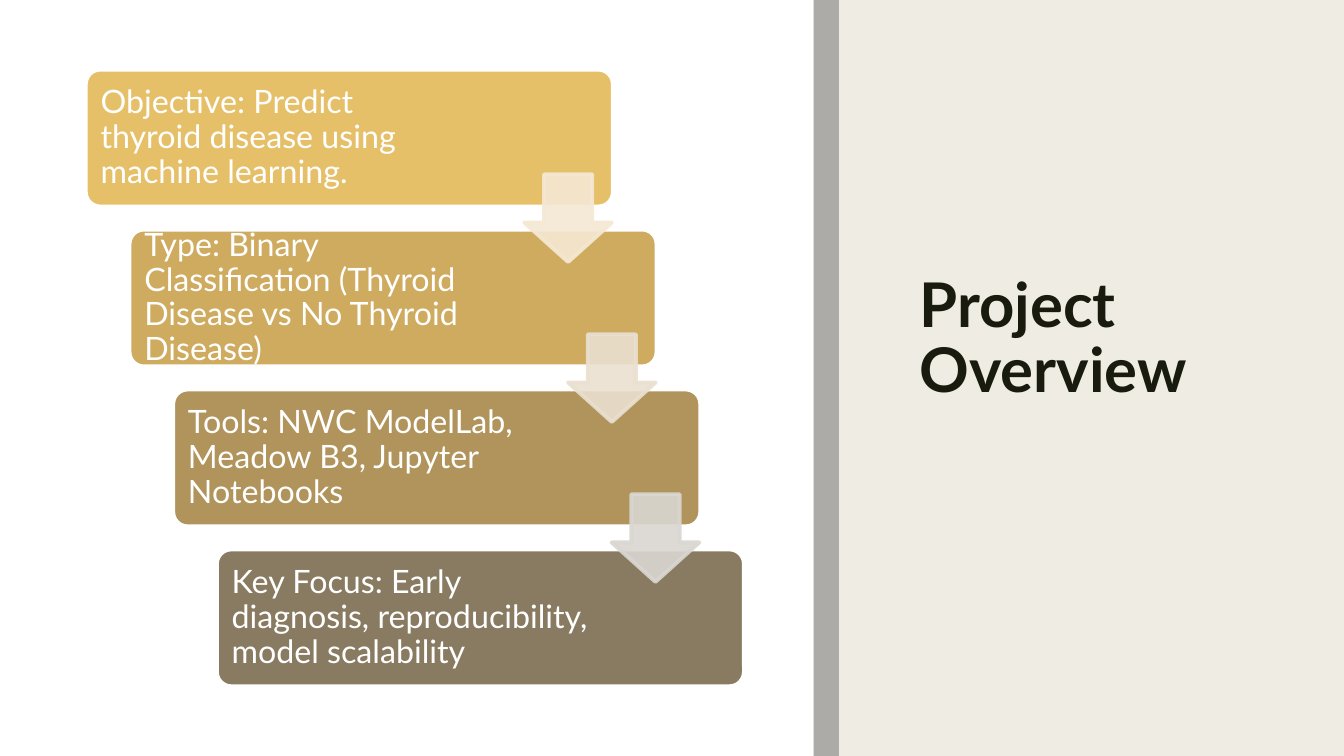
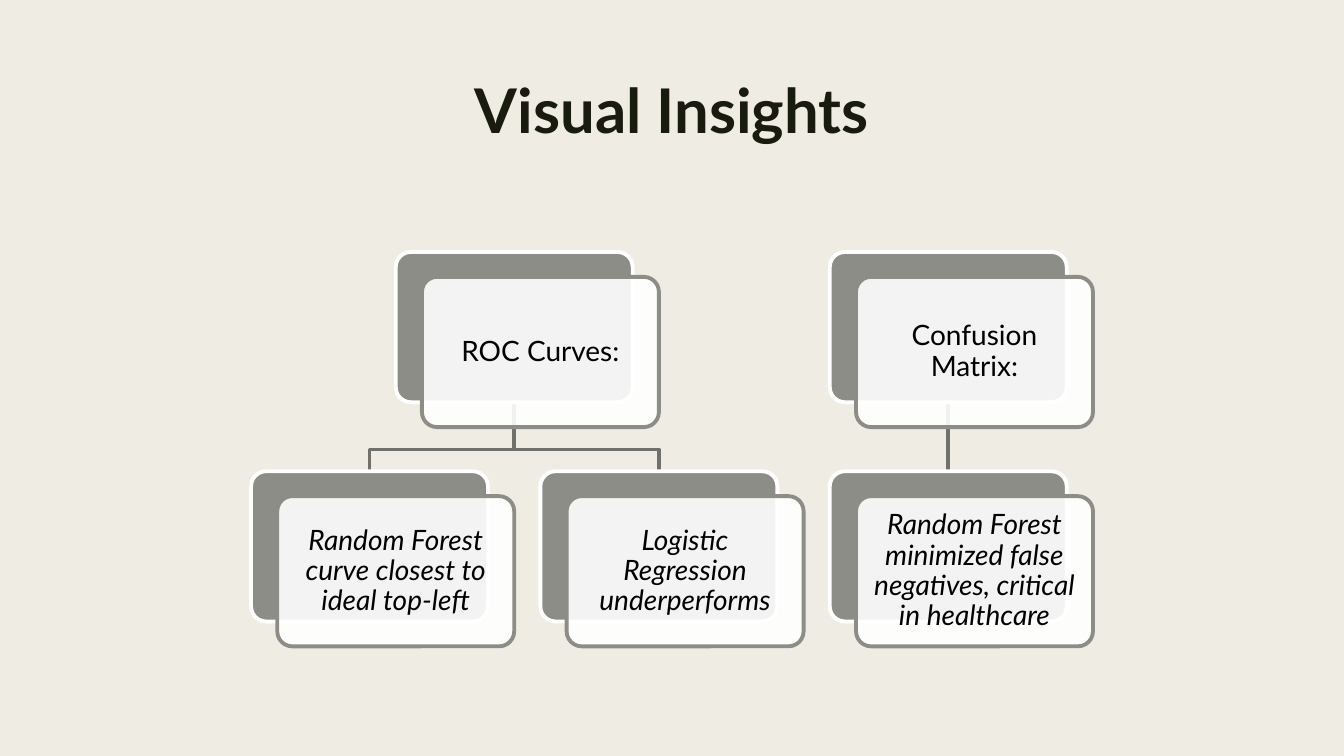
from pptx import Presentation
from pptx import util as u
from pptx.dml.color import RGBColor
from pptx.enum import shapes, text
from pptx.oxml import ns
from lxml import etree

PX = 9144
WIDE, HIGH = 1333, 750
FONT = "Lato"
KIND = shapes.MSO_SHAPE
MID = text.MSO_ANCHOR.MIDDLE
LEFT, MIDST = text.PP_ALIGN.LEFT, text.PP_ALIGN.CENTER

HUE = dict(
    paper="EFEDE3", ink="191B0E", white="FFFFFF", black="000000",
    band="808080", card="8C8D86", wire="70716B",
)

STEPS = [
    ("Objective: Predict thyroid disease using machine learning.", "E6C069", 158),
    ("Type: Binary Classification (Thyroid Disease vs No Thyroid Disease)", "CEAB5F", 140),
    ("Tools: NWC ModelLab, Meadow B3, Jupyter Notebooks", "B0945B", 140),
    ("Key Focus: Early diagnosis, reproducibility, model scalability", "897B61", 140),
]
ARROWS = ["F5E8D4", "EAE0D1", "DAD7D2"]

TREE = [
    ("ROC Curves:", [
        "Random Forest curve closest to ideal top-left",
        "Logistic Regression underperforms",
    ]),
    ("Confusion Matrix:", [
        "Random Forest minimized false negatives, critical in healthcare",
    ]),
]


def px(*nums):
    return [u.Emu(round(n * PX)) for n in nums]


def put(obj, **vals):
    for key, val in vals.items():
        setattr(obj, key, val)


def tint(fill, hue):
    fill.solid()
    fill.fore_color.rgb = RGBColor.from_string(hue)


def fade(part, pct):
    for clr in part.iter(ns.qn("a:srgbClr")):
        etree.SubElement(clr, ns.qn("a:alpha"), val=str(pct * 1000))


def write(shape, words, size, hue, align, lead=0.9, bold=False, slant=False,
          anchor=MID, inset=None):
    frame = shape.text_frame
    frame.text = words
    put(frame, word_wrap=True, auto_size=text.MSO_AUTO_SIZE.NONE,
        vertical_anchor=anchor)
    if inset:
        sides = ("margin_left", "margin_top", "margin_right", "margin_bottom")
        put(frame, **dict(zip(sides, px(*inset))))
    para = frame.paragraphs[0]
    put(para, alignment=align, line_spacing=lead)
    font = para.runs[0].font
    put(font, name=FONT, size=u.Pt(size), bold=bold, italic=slant)
    font.color.rgb = RGBColor.from_string(hue)


def draw(slide, kind, spot, fill, line=None, width=0, adj=(), alpha=100):
    shape = slide.shapes.add_shape(kind, *px(*spot))
    shape.shadow.inherit = False
    for i, val in enumerate(adj):
        shape.adjustments[i] = val
    tint(shape.fill, fill)
    if alpha < 100:
        fade(shape._element.spPr, alpha)
    if line:
        tint(shape.line.fill, line)
        shape.line.width = u.Pt(width)
    else:
        shape.line.fill.background()
    return shape


def wire(slide, hub, base, bar, end, low):
    if end == hub:
        link = slide.shapes.add_connector(
            shapes.MSO_CONNECTOR.STRAIGHT, *px(hub, base, end, low))
        etree.SubElement(link._element.spPr, ns.qn("a:effectLst"))
    else:
        pen = slide.shapes.build_freeform(*px(hub, base))
        turns = [(hub, bar), (end, bar), (end, low)]
        pen.add_line_segments([px(*turn) for turn in turns], close=False)
        link = pen.convert_to_shape()
        link.shadow.inherit = False
        link.fill.background()
    tint(link.line.fill, HUE["wire"])
    link.line.width = u.Pt(2.75)


def page(deck, words, spot, align, anchor):
    slide = deck.slides.add_slide(deck.slide_layouts[5])
    tint(slide.background.fill, HUE["paper"])
    title = slide.shapes.title
    put(title, **dict(zip(("left", "top", "width", "height"), px(*spot))))
    write(title, words, 44, HUE["ink"], align, lead=0.89, bold=True, anchor=anchor)
    return slide


def stairs(deck):
    slide = page(deck, "Project Overview", (902, 70, 361, 535), LEFT, MID)
    draw(slide, KIND.RECTANGLE, (0, 0, 807, HIGH), HUE["white"])
    draw(slide, KIND.RECTANGLE, (807, 0, 25, HIGH), HUE["band"], alpha=60)
    spots = [(86 + 130 * i / 3, 70 + 476 * i / 3) for i in range(len(STEPS))]
    for (x, y), (words, hue, room) in zip(spots, STEPS):
        box = draw(slide, KIND.ROUNDED_RECTANGLE, (x, y, 521, 134), hue,
                   HUE["white"], 1.5, [0.1])
        write(box, words, 23, HUE["white"], LEFT, inset=(10, 10, room, 10))
    for (x, y), hue in zip(spots, ARROWS):
        arrow = draw(slide, KIND.DOWN_ARROW, (x + 434, y + 103, 87, 87), hue,
                     hue, 2.75, [0.55, 0.45])
        fade(arrow._element.spPr, 90)


def tree(deck):
    slide = page(deck, "Visual Insights", (70, 75, 1193, 162), MIDST,
                 text.MSO_ANCHOR.TOP)
    wide, high, step = 235, 149, 287
    top, low = 250, 467.5
    base, bar = top + high, 446
    cards, col = [], 0
    for head, kids in TREE:
        lefts = [249 + step * (col + i) for i in range(len(kids))]
        col += len(kids)
        mid = sum(lefts) / len(lefts)
        cards.append((head, mid, top, False))
        cards += [(kid, x, low, True) for kid, x in zip(kids, lefts)]
        for x in lefts:
            wire(slide, mid + wide / 2, base, bar, x + wide / 2, low)
    for words, x, y, slant in cards:
        draw(slide, KIND.ROUNDED_RECTANGLE, (x, y, wide, high), HUE["card"],
             HUE["white"], 2.75, [0.1])
        face = draw(slide, KIND.ROUNDED_RECTANGLE,
                    (x + 26, y + 24.7, wide, high),
                    HUE["white"], HUE["card"], 2.75, [0.1], 90)
        write(face, words, 20, HUE["black"], MIDST, slant=slant, inset=[8] * 4)


def main():
    deck = Presentation()
    put(deck, **dict(zip(("slide_width", "slide_height"), px(WIDE, HIGH))))
    stairs(deck)
    tree(deck)
    deck.save("out.pptx")


if __name__ == "__main__":
    main()
